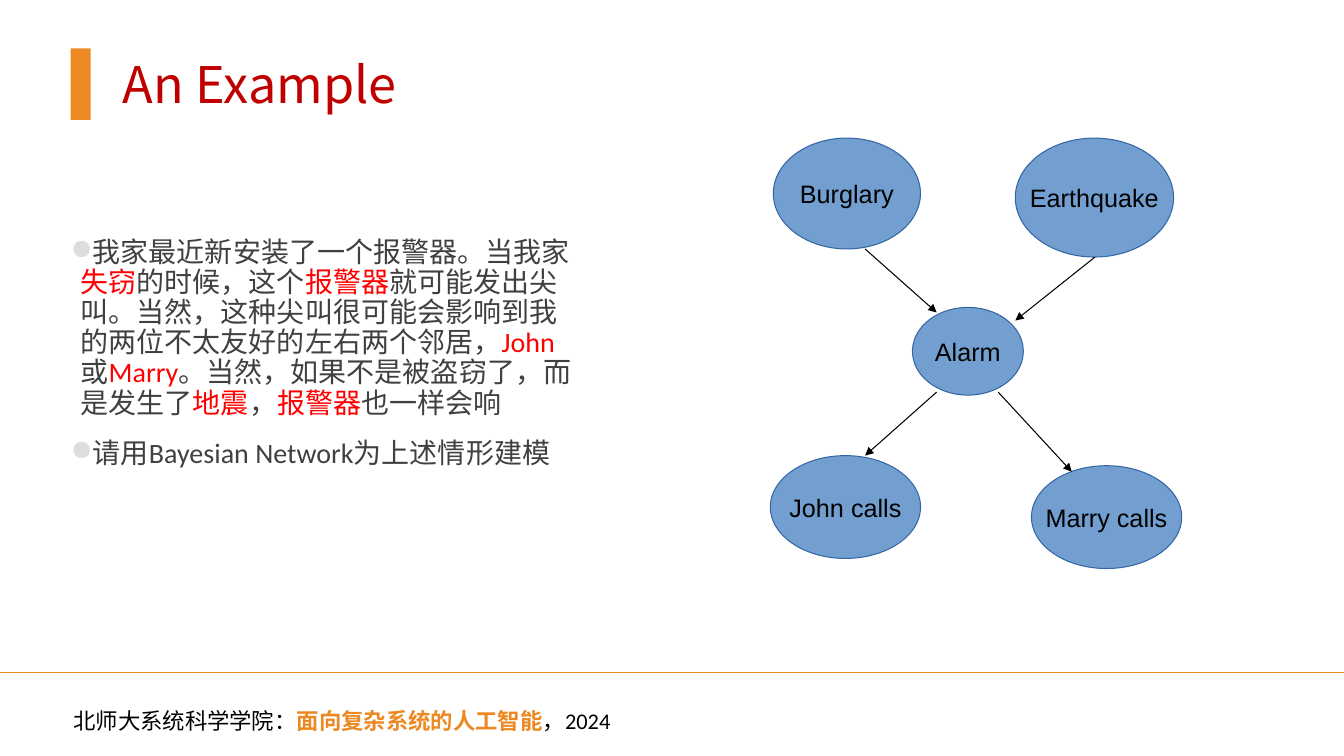
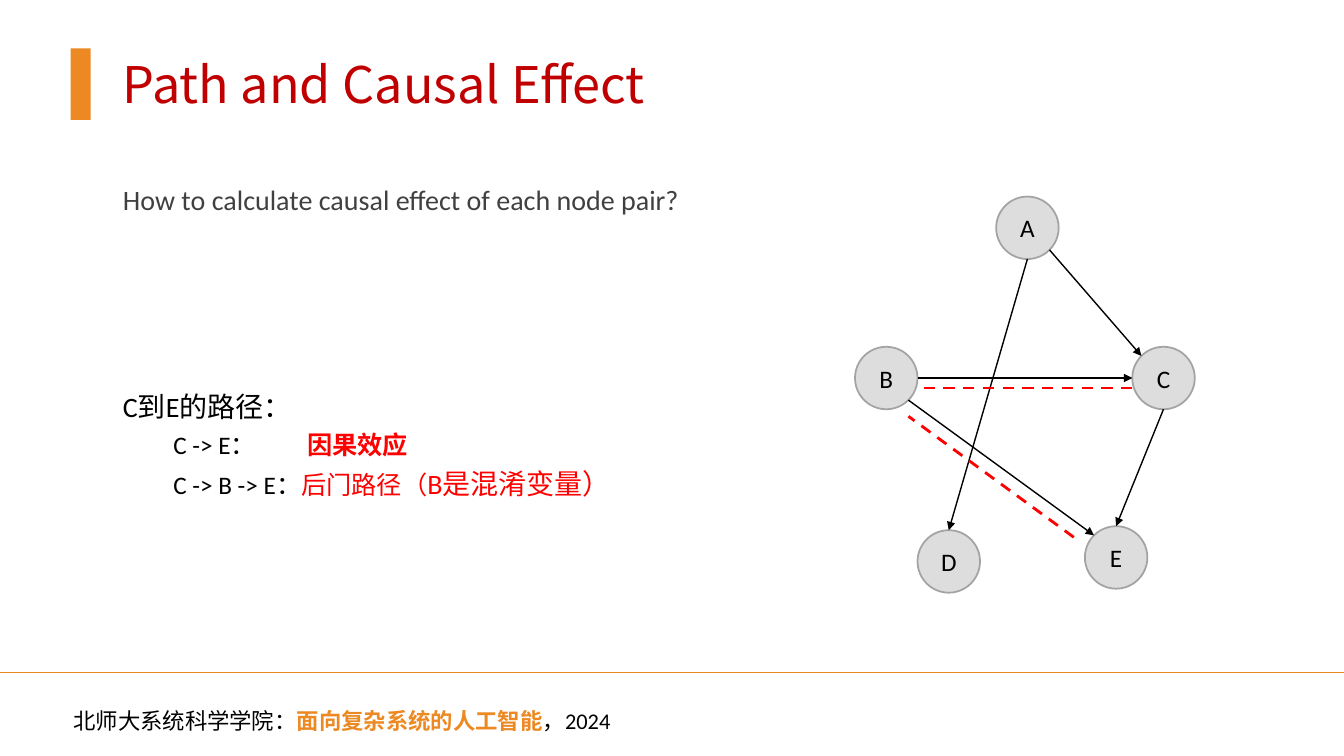
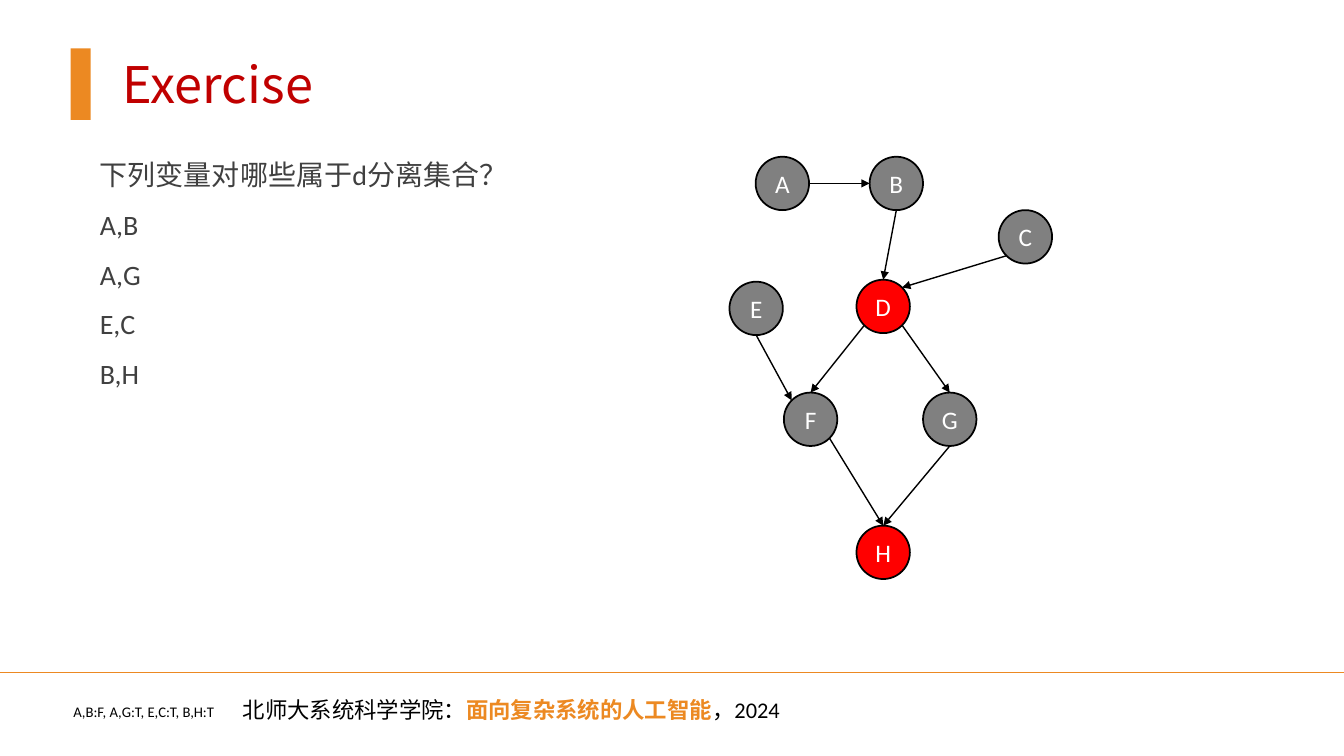
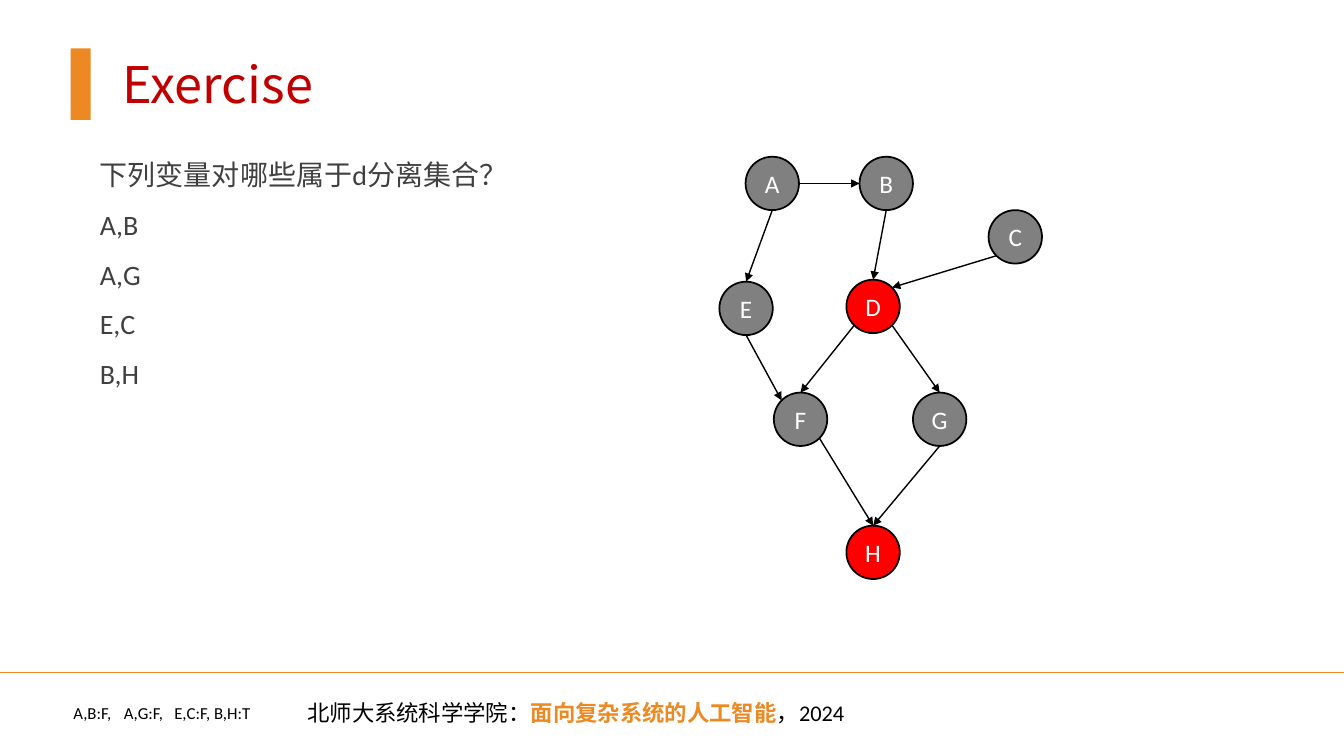
from lxml.etree import SubElement
from pptx import Presentation
from pptx.dml.color import RGBColor as RGB
from pptx.enum.dml import MSO_LINE_DASH_STYLE as DASH
from pptx.enum.shapes import MSO_CONNECTOR as CONN, MSO_SHAPE as SHAPE
from pptx.enum.text import MSO_ANCHOR as ANCHOR, PP_ALIGN as ALIGN
from pptx.oxml.ns import qn
from pptx.util import Inches, Pt

WIDE, HIGH = 13.33, 7.5
ORANGE, CRIMSON = RGB(0xEC, 0x89, 0x22), RGB(0xC0, 0, 0)
RED, BLACK, WHITE = RGB(0xFF, 0, 0), RGB(0, 0, 0), RGB(0xFF, 0xFF, 0xFF)
DARK, GREY = RGB(0x40, 0x40, 0x40), RGB(0x80, 0x80, 0x80)
PALE, EDGE = RGB(0xDD, 0xDD, 0xDD), RGB(0xA3, 0xA3, 0xA3)
BLUE, NAVY = RGB(0x72, 0x9F, 0xCF), RGB(0x34, 0x65, 0xA4)
SANS, HEAD, PLAIN = "Calibri", "Noto Sans CJK SC", "Arial"

# A run is (text, colour[, bold[, size]]).
FOOT = [("北师大系统科学学院：", BLACK), ("面向复杂系统的人工智能", ORANGE, True),
        ("，2024", BLACK)]

STORY = [
    [("我家最近新安装了一个报警器。当我家", DARK), ("失窃", RED),
     ("的时候，这个", DARK), ("报警器", RED),
     ("就可能发出尖叫。当然，这种尖叫很可能会影响到我的两位不太友好的左右两个邻居，", DARK),
     ("John", RED), ("或", DARK), ("Marry", RED),
     ("。当然，如果不是被盗窃了，而是发生了", DARK), ("地震", RED),
     ("，", DARK), ("报警器", RED), ("也一样会响", DARK)],
    [("请用Bayesian Network为上述情形建模", DARK)],
]
# Name: left, top, width, height
EVENTS = {
    "Burglary": (7.67, 1.37, 1.46, 1.1),
    "Earthquake": (10.07, 1.37, 1.57, 1.18),
    "Alarm": (9.05, 3.05, 1.1, 0.87),
    "John calls": (7.64, 4.52, 1.49, 1.02),
    "Marry calls": (10.23, 4.62, 1.49, 1.02),
}
CAUSES = [((8.58, 2.47), (9.29, 3.1)), ((10.86, 2.55), (10.07, 3.18)),
          ((9.29, 3.89), (8.58, 4.52)), ((9.9, 3.89), (10.63, 4.68))]

ASK = [[("How to calculate causal effect of each node pair?", DARK)]]
PATHS = [
    [("C到E的路径：", BLACK, False, 20)],
    [("C -> E：\t", BLACK), ("因果效应", RED, True)],
    [("C -> B -> E：", BLACK), ("后门路径（", RED),
     ("B是混淆变量）", RED, False, 20)],
]
PATH_INDENT = [(0.5, 0), (2.33, -1.33), (1, 0)]
# Name: centre of the circle
PATH_NODES = {"A": (10.19, 2.26), "B": (8.79, 3.75), "C": (11.54, 3.75),
              "D": (9.41, 5.57), "E": (11.07, 5.53)}
# Start, its side, end, its side
PATH_EDGES = ["A s D n", "A se C nw", "B e C w", "C s E n", "B se E nw"]
BACK_DOOR = [((11.23, 3.85), (9.1, 3.85)), ((10.65, 5.33), (9.01, 4.13))]

PAIRS = [[(line, DARK)] for line in
         ("下列变量对哪些属于d分离集合？", "A,B", "A,G", "E,C", "B,H")]
NODES = {"A": (7.76, 1.82), "B": (8.89, 1.82), "E": (7.5, 3.06),
         "C": (10.17, 2.35), "D": (8.76, 3.04), "F": (8.04, 4.16),
         "G": (9.42, 4.16), "H": (8.76, 5.48)}
EDGES = ["A e B w", "B s D n", "C sw D ne", "D se G n", "D sw F n",
         "F se H n", "G s H n", "E s F nw"]
EXERCISES = [
    dict(shift=0, edges=EDGES, foot=(2.31, 6.86), size=10.5, tabs=(),
         note="A,B:F, A,G:T, E,C:T, B,H:T"),
    dict(shift=-0.1, edges=EDGES + ["A s E n"], foot=(2.95, 6.89), size=12,
         tabs=(0.48, 0.95), note="A,B:F,\tA,G:F,\tE,C:F, B,H:T"),
]

DIAG = 0.5 ** 0.5
SIDES = {"n": (0, -1), "s": (0, 1), "w": (-1, 0), "e": (1, 0),
         "nw": (-DIAG, -DIAG), "ne": (DIAG, -DIAG),
         "sw": (-DIAG, DIAG), "se": (DIAG, DIAG)}


def inches(*nums):
    return [Inches(n) for n in nums]


def write(para, runs, size, face=SANS):
    for text, colour, *more in runs:
        bold, pts = (more + [False, size][len(more):])
        run = para.add_run()
        run.text = text
        font = run.font
        font.size, font.bold, font.name = Pt(pts), bold, face
        font.color.rgb = colour
        SubElement(font._element, qn("a:ea"), typeface=face)


def indent(para, left, first=0):
    props = para._p.get_or_add_pPr()
    props.set("marL", str(Inches(left)))
    props.set("indent", str(Inches(first)))
    return props


def box(slide, place, paras, size, face=SANS):
    frame = slide.shapes.add_textbox(*inches(*place)).text_frame
    frame.word_wrap = True
    for i, runs in enumerate(paras):
        para = frame.add_paragraph() if i else frame.paragraphs[0]
        write(para, runs, size, face)
    return frame


def body(slide, place, paras, dots=False):
    frame = box(slide, place, paras, 20)
    frame.margin_left = frame.margin_right = 0
    for i, para in enumerate(frame.paragraphs):
        props = indent(para, 0.1, -0.1 if dots else 0)
        if dots:
            tint = SubElement(props, qn("a:buClr"))
            SubElement(tint, qn("a:srgbClr"), val=str(PALE))
            SubElement(props, qn("a:buChar"), char="●")
        para.line_spacing, para.space_after = 0.9, Pt(2)
        para.space_before = Pt(12 if i else 0)


def shape(slide, kind, place, fill, edge=None, weight=1):
    item = slide.shapes.add_shape(kind, *inches(*place))
    item.shadow.inherit = False
    item.fill.solid()
    item.fill.fore_color.rgb = fill
    if edge is None:
        item.line.fill.background()
    else:
        item.line.color.rgb, item.line.width = edge, Pt(weight)
    return item


def oval(slide, place, text, fill, edge, weight, ink=BLACK, face=SANS):
    frame = shape(slide, SHAPE.OVAL, place, fill, edge, weight).text_frame
    frame.word_wrap, frame.vertical_anchor = False, ANCHOR.MIDDLE
    para = frame.paragraphs[0]
    para.alignment = ALIGN.CENTER
    write(para, [(text, ink)], 18, face)


def line(slide, start, end, colour=BLACK, weight=1, dash=None, arrow=True):
    item = slide.shapes.add_connector(CONN.STRAIGHT, *inches(*start, *end))
    item.line.color.rgb, item.line.width = colour, Pt(weight)
    if dash:
        item.line.dash_style = dash
    props = item._element.spPr
    if arrow:
        SubElement(props.find(qn("a:ln")), qn("a:tailEnd"), type="triangle")
    SubElement(props, qn("a:effectLst"))


def graph(slide, nodes, edges, size, fills, edge, ink, shift=0):
    """Draw equal circles round their centres, then arrows between sides."""
    half = size / 2

    def side(name, way):
        (x, y), (dx, dy) = nodes[name], SIDES[way]
        return x + shift + half * dx, y + half * dy

    for name, (x, y) in nodes.items():
        oval(slide, (x + shift - half, y - half, size, size), name,
             fills(name), edge, 1.25, ink)
    for start, way, end, back in map(str.split, edges):
        line(slide, side(start, way), side(end, back))


def page(deck, title, foot=(0.63, 6.97)):
    """Add a slide with the parts that all slides share."""
    slide = deck.slides.add_slide(deck.slide_layouts[6])
    box(slide, (1.12, 0.48, 11.52, 0.71), [[(title, CRIMSON)]], 36, HEAD)
    shape(slide, SHAPE.RECTANGLE, (0.7, 0.48, 0.2, 0.71), ORANGE)
    line(slide, (0, 6.67), (WIDE, 6.67), ORANGE, arrow=False)
    box(slide, (*foot, 5.71, 0.37), [FOOT], 16)
    return slide


def example(deck):
    slide = page(deck, "An Example")
    body(slide, (0.7, 2.31, 5, 3.88), STORY, dots=True)
    for name, place in EVENTS.items():
        oval(slide, place, name, BLUE, NAVY, 0.75, face=PLAIN)
    for start, end in CAUSES:
        line(slide, start, end, weight=0.75)


def effect(deck):
    slide = page(deck, "Path and Causal Effect")
    body(slide, (1.12, 1.8, 6.76, 0.92), ASK)
    graph(slide, PATH_NODES, PATH_EDGES, 0.62, lambda name: PALE, EDGE, BLACK)
    frame = box(slide, (0.62, 3.75, 7.01, 1.24), PATHS, 18)
    for para, (left, first) in zip(frame.paragraphs, PATH_INDENT):
        indent(para, left, first)
        para.line_spacing = 1.2
    for start, end in BACK_DOOR:
        line(slide, start, end, RED, 2, DASH.DASH, arrow=False)


def exercise(deck, shift, edges, foot, size, tabs, note):
    slide = page(deck, "Exercise", foot)
    frame = box(slide, (0.63, 6.92, 7.85, 0.3), [[(note, BLACK)]], size)
    if tabs:
        props = indent(frame.paragraphs[0], 0)
        stops = SubElement(props, qn("a:tabLst"))
        for stop in tabs:
            SubElement(stops, qn("a:tab"), pos=str(Inches(stop)), algn="l")
    body(slide, (0.89, 1.55, 4.9, 4.76), PAIRS)
    graph(slide, NODES, edges, 0.53,
          lambda name: RED if name in "DH" else GREY, BLACK, WHITE, shift)


def main():
    deck = Presentation()
    deck.slide_width, deck.slide_height = inches(WIDE, HIGH)
    example(deck)
    effect(deck)
    for task in EXERCISES:
        exercise(deck, **task)
    deck.save("out.pptx")


if __name__ == "__main__":
    main()
